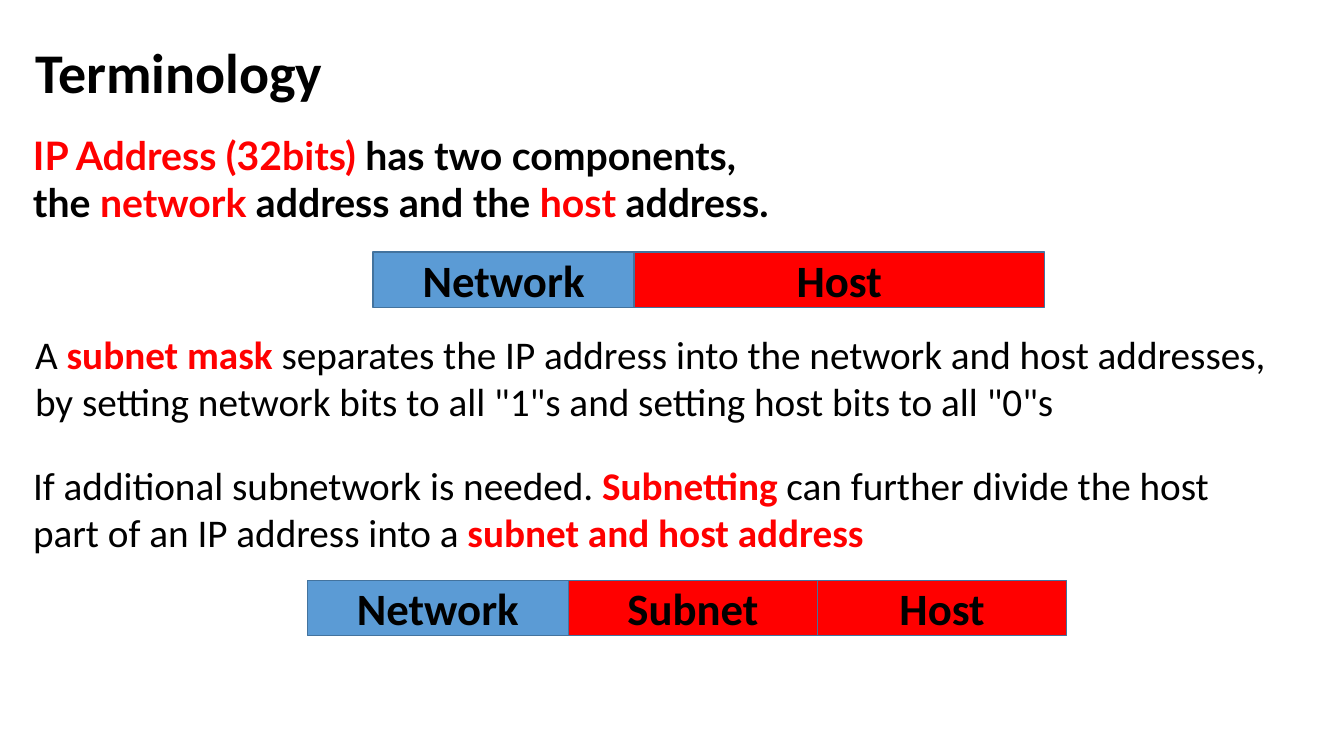
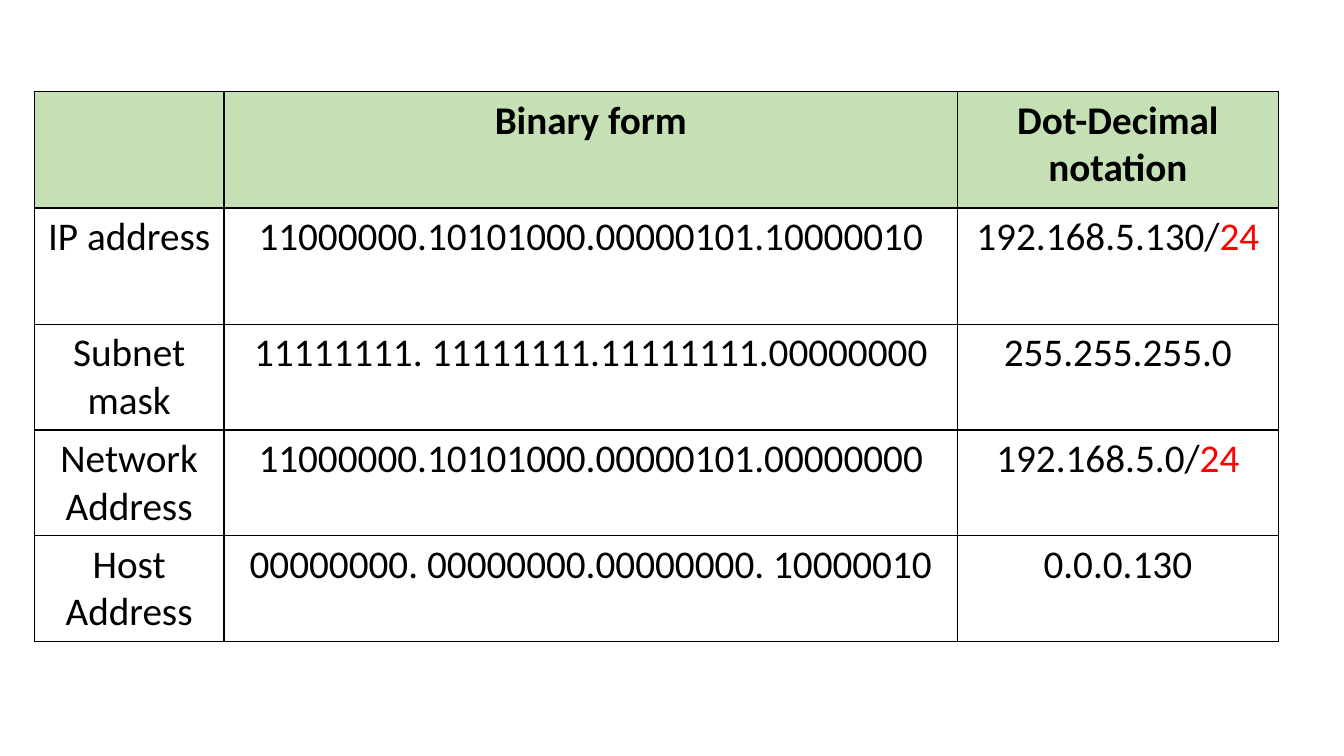
from lxml import etree
from pptx import Presentation
from pptx.dml.color import RGBColor
from pptx.enum import text
from pptx.oxml import ns
from pptx.enum import shapes
from pptx.util import Pt

BLACK = RGBColor(0x00, 0x00, 0x00)
RED = RGBColor(0xFF, 0x00, 0x00)
BLUE = RGBColor(0x5B, 0x9B, 0xD5)
OUTLINE = RGBColor(0x43, 0x73, 0x9E)
GREEN = RGBColor(0xC5, 0xE0, 0xB4)

BODY_FONT = "Calibri"
LEAD_FONT = "Lato"
TITLE_SIZE, FIELD_SIZE, BODY_SIZE = 40, 32, 28
TITLE_ONLY, BLANK = 5, 6

ADDRESS_FIELDS = [("Network", BLUE, 186.5), ("Host", RED, 293)]
SUBNET_FIELDS = [("Network", BLUE, 186.5), ("Subnet", RED, 178), ("Host", RED, 178)]

LEAD = [
    [("IP Address (32bits) ", True), ("has two components,", False)],
    [("the ", False), ("network", True), (" address and the ", False),
     ("host", True), (" address.", False)],
]
SUBNET_MASK = [[
    ("A ", False), ("subnet mask ", True),
    ("separates the IP address into the network and host addresses, "
     'by setting network bits to all "1"s and setting host bits to all "0"s', False),
]]
SUBNETTING = [[
    ("If additional subnetwork is needed. ", False), ("Subnetting ", True),
    ("can further divide the host part of an IP address into a ", False),
    ("subnet and host address", True),
]]

COLUMN_WIDTHS = [135.5, 524, 229]
ROW_HEIGHTS = [83, 83, 75.6, 75.6, 75.6]
ADDRESS_ROWS = [
    ("", "Binary form", "Dot-Decimal notation"),
    ("IP address", "11000000.10101000.00000101.10000010", "192.168.5.130/24"),
    ("Subnet mask", "11111111. 11111111.11111111.00000000", "255.255.255.0"),
    ("Network Address", "11000000.10101000.00000101.00000000", "192.168.5.0/24"),
    ("Host Address", "00000000. 00000000.00000000. 10000010", "0.0.0.130"),
]


def style_paragraph(paragraph, size, bold=False, font=BODY_FONT, align=text.PP_ALIGN.LEFT):
    """Set the font and alignment shared by all runs of a paragraph."""
    paragraph.alignment = align
    paragraph.font.name = font
    paragraph.font.size = Pt(size)
    paragraph.font.bold = bold
    paragraph.font.color.rgb = BLACK


def add_title(slide, title, left, top, width, height):
    """Place the title placeholder in the given box."""
    shape = slide.shapes.title
    shape.left, shape.top, shape.width, shape.height = map(Pt, (left, top, width, height))
    shape.text_frame.text = title
    shape.text_frame.vertical_anchor = text.MSO_ANCHOR.TOP
    style_paragraph(shape.text_frame.paragraphs[0], TITLE_SIZE, bold=True)


def add_statement(slide, lines, left, top, width, height, font=BODY_FONT, bold=False):
    """Add a text box whose key terms are red and bold."""
    frame = slide.shapes.add_textbox(*map(Pt, (left, top, width, height))).text_frame
    frame.word_wrap = True
    for index, line in enumerate(lines):
        paragraph = frame.add_paragraph() if index else frame.paragraphs[0]
        style_paragraph(paragraph, BODY_SIZE, bold, font)
        for words, is_term in line:
            run = paragraph.add_run()
            run.text = words
            if is_term:
                run.font.bold = True
                run.font.color.rgb = RED


def add_address_bar(slide, fields, left, top, height):
    """Draw address fields side by side, starting at the given corner."""
    for label, color, width in fields:
        shape = slide.shapes.add_shape(
            shapes.MSO_SHAPE.RECTANGLE, *map(Pt, (left, top, width, height)))
        shape.shadow.inherit = False
        shape.fill.solid()
        shape.fill.fore_color.rgb = color
        shape.line.color.rgb = OUTLINE
        shape.line.width = Pt(1)
        frame = shape.text_frame
        frame.text = label
        frame.vertical_anchor = text.MSO_ANCHOR.MIDDLE
        style_paragraph(frame.paragraphs[0], FIELD_SIZE, bold=True, align=text.PP_ALIGN.CENTER)
        left += width


def add_cell_borders(cell):
    """Give a table cell thin black borders on all sides."""
    properties = cell._tc.get_or_add_tcPr()
    for side in ("a:lnL", "a:lnR", "a:lnT", "a:lnB"):
        line = etree.SubElement(properties, ns.qn(side), w=str(Pt(1)))
        fill = etree.SubElement(line, ns.qn("a:solidFill"))
        etree.SubElement(fill, ns.qn("a:srgbClr"), val=str(BLACK))


def fill_cell(cell, content, is_header):
    """Write and format one cell, with the prefix length in red."""
    add_cell_borders(cell)
    if is_header:
        cell.fill.solid()
        cell.fill.fore_color.rgb = GREEN
    else:
        cell.fill.background()
    paragraph = cell.text_frame.paragraphs[0]
    style_paragraph(paragraph, BODY_SIZE, bold=is_header, align=text.PP_ALIGN.CENTER)
    address, slash, prefix = content.partition("/")
    if address:
        paragraph.add_run().text = address + slash
    if prefix:
        run = paragraph.add_run()
        run.text = prefix
        run.font.color.rgb = RED


def add_address_table(slide, left, top):
    """Add the table of binary and decimal addresses."""
    table = slide.shapes.add_table(
        len(ADDRESS_ROWS), len(COLUMN_WIDTHS), Pt(left), Pt(top),
        Pt(sum(COLUMN_WIDTHS)), Pt(sum(ROW_HEIGHTS))).table
    table.first_row = False
    table.horz_banding = False
    for column, width in zip(table.columns, COLUMN_WIDTHS):
        column.width = Pt(width)
    for row_index, (row, height) in enumerate(zip(table.rows, ROW_HEIGHTS)):
        row.height = Pt(height)
        for cell, content in zip(row.cells, ADDRESS_ROWS[row_index]):
            fill_cell(cell, content, is_header=row_index == 0)


def build_terminology(presentation):
    """Build the slide that explains the parts of an address."""
    slide = presentation.slides.add_slide(presentation.slide_layouts[TITLE_ONLY])
    add_title(slide, "Terminology", 18, 23, 463, 55.5)
    add_statement(slide, LEAD, 16.5, 90, 920, 75, LEAD_FONT, bold=True)
    add_address_bar(slide, ADDRESS_FIELDS, 266.5, 180, 39.5)
    add_statement(slide, SUBNET_MASK, 18, 232.5, 913, 75)
    add_statement(slide, SUBNETTING, 16.5, 326, 893.5, 75)
    add_address_bar(slide, SUBNET_FIELDS, 219.5, 414.5, 39.5)


def build_address_forms(presentation):
    """Build the slide that compares address notations."""
    slide = presentation.slides.add_slide(presentation.slide_layouts[BLANK])
    add_address_table(slide, 24.5, 65.5)


def main():
    """Build and save the presentation."""
    presentation = Presentation()
    presentation.slide_width, presentation.slide_height = Pt(960), Pt(540)
    build_terminology(presentation)
    build_address_forms(presentation)
    presentation.save("out.pptx")


if __name__ == "__main__":
    main()
